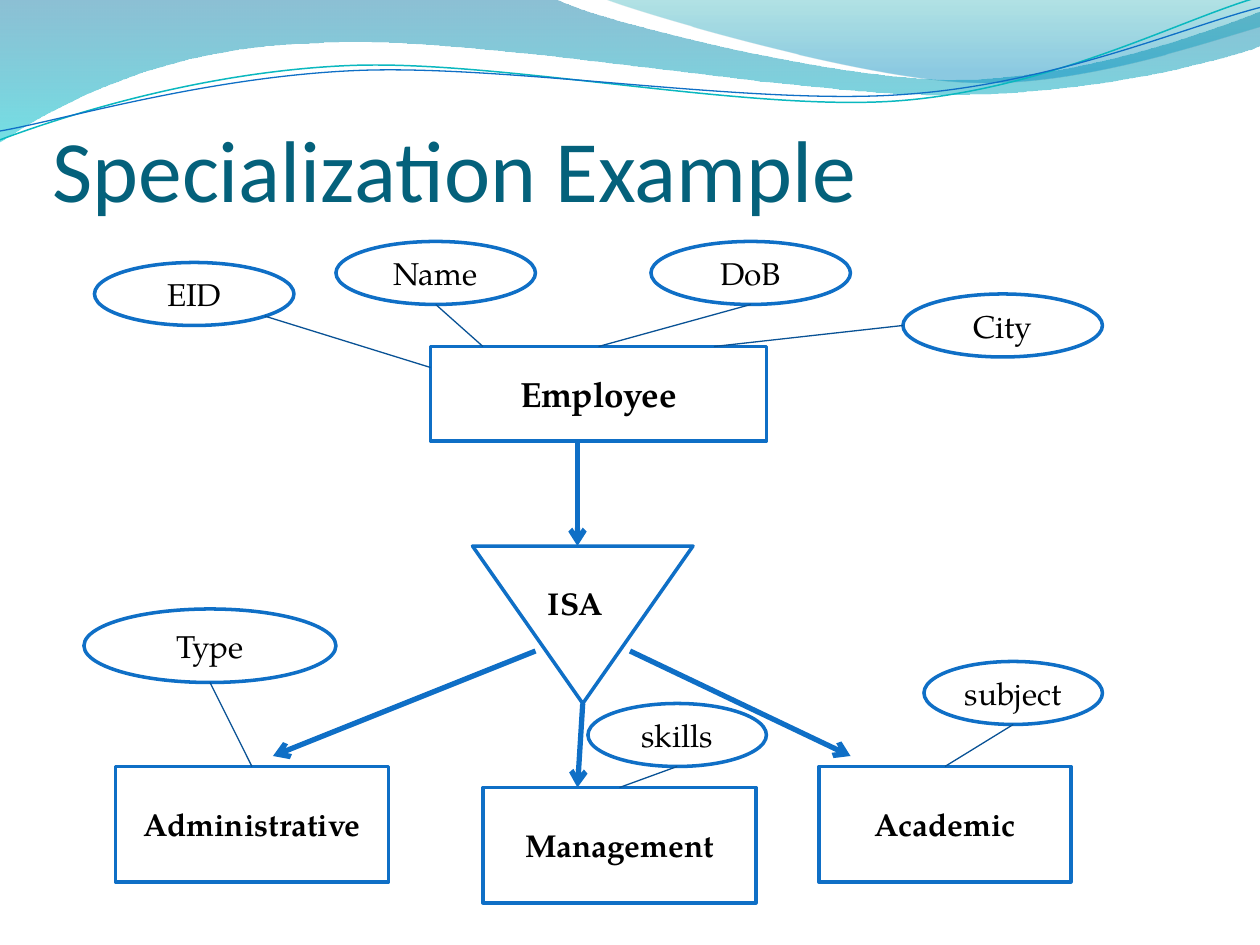
"""Build the specialization example slide, an ER diagram of employees."""
from math import cos, radians, sin

from lxml import etree
from pptx import Presentation
from pptx.dml.color import RGBColor
from pptx.enum.shapes import MSO_CONNECTOR as CONN, MSO_SHAPE as SHAPE
from pptx.enum.text import MSO_ANCHOR as ANCHOR, MSO_AUTO_SIZE as AUTO, PP_ALIGN as ALIGN
from pptx.oxml.ns import qn
from pptx.util import Inches, Pt

BLUE, THIN_BLUE = "0F6FC6", "095295"
BODY = {"name": "TeX Gyre Pagella", "size": Pt(18), "bold": False}
BOLD = {**BODY, "bold": True}
HEADING = {"name": "Calibri", "size": Pt(50)}
UNITS_PER_INCH = 12
WAVE_TILT = 2.7

ENTITIES = {
    "Employee": (41, 33, 32, 9),
    "Academic": (78, 73, 24, 11),
    "Administrative": (11, 73, 26, 11),
    "Management": (46, 75, 26, 11),
}
ATTRIBUTES = {
    "Type": (8, 58, 24, 7),
    "skills": (56, 67, 17, 6),
    "subject": (88, 63, 17, 6),
    "EID": (9, 25, 19, 6),
    "Name": (32, 23, 19, 6),
    "DoB": (62, 23, 19, 6),
    "City": (86, 28, 19, 6),
}
ARROWS = [
    ((51, 62), (26, 72)),
    ((60, 62), (81, 72)),
    ((55, 42), (55, 52)),
    ((55.5, 67), (55, 75)),
]
LINKS = [
    ((20, 65), (24, 73), "Administrative"),
    ((96.5, 69), (90, 73), "Academic"),
    ((64.5, 73), (59, 75), "Management"),
    ((71.5, 29), (57, 33), "Employee"),
    ((25.2, 30.1), (41, 35), None),
    ((41.5, 29), (46, 33), None),
    ((86, 31), (68, 33), None),
]
BANDS = [
    ([(0, 0), (4.4, -0.01),
      (4.76, 0.17, 6.64, 0.63, 7.58, 0.63), (8.53, 0.63, 9.58, 0.26, 10, 0.09),
      (10.01, 0.36),
      (9.83, 0.44, 8.7, 0.76, 7.46, 0.75), (6.22, 0.75, 3.82, 0.28, 2.57, 0.34),
      (1.29, 0.36, 0.46, 0.83, -0.01, 1.13), (0, 0)],
     [(0, "0074A1", 45), (1, "00C6CF", 55)]),
    ([(4.79, -0.01),
      (5.09, 0.11, 6.82, 0.62, 7.69, 0.65), (8.56, 0.69, 9.61, 0.32, 10, 0.21),
      (10, 0), (4.79, -0.01)],
     [(0, "00A1A9", 30), (0.8, "008BBF", 45)]),
]
WAVES = [
    ([(0, 1.11), (0.48, 0.93, 1.58, 0.57, 2.77, 0.52),
      (3.95, 0.47, 5.93, 0.89, 7.13, 0.8), (8.33, 0.71, 9.38, 0.15, 9.98, -0.02)],
     (4.99, 0.58), "0AB8BF", 0.85),
    ([(0, 1.04), (0.47, 0.96, 1.64, 0.61, 2.83, 0.56),
      (4.03, 0.51, 5.97, 0.84, 7.17, 0.75), (8.36, 0.67, 9.41, 0.21, 10, 0.06)],
     (5, 0.59), BLUE, 0.75),
]


def rgb(value):
    """Return the colour for a hex string."""
    return RGBColor.from_string(value)


def grid(values):
    """Turn grid units into lengths."""
    return [Inches(value / UNITS_PER_INCH) for value in values]


def set_attrs(obj, values):
    """Set every attribute named in a dict of format values."""
    for name, value in values.items():
        setattr(obj, name, value)


def set_line(sp, color, width):
    """Give a shape or connector a solid line."""
    sp.line.color.rgb = rgb(color)
    sp.line.width = Pt(width)


def write(sp, text, font, color="000000", align=ALIGN.CENTER, **frame):
    """Write one formatted paragraph into a shape."""
    tf = sp.text_frame
    set_attrs(tf, {"word_wrap": True, "vertical_anchor": ANCHOR.MIDDLE, **frame})
    p = tf.paragraphs[0]
    p.alignment = align
    r = p.add_run()
    r.text = text
    set_attrs(r.font, font)
    r.font.color.rgb = rgb(color)


def add_node(shapes, kind, box):
    """Add a white shape with a blue outline."""
    sp = shapes.add_shape(kind, *grid(box))
    sp.shadow.inherit = False
    sp.fill.solid()
    sp.fill.fore_color.rgb = rgb("FFFFFF")
    set_line(sp, BLUE, 2)
    return sp


def add_label(shapes, text, box, font, **style):
    """Add a text box."""
    write(shapes.add_textbox(*grid(box)), text, font, align=ALIGN.LEFT, **style)


def add_line(shapes, begin, end, color, width):
    """Add a straight connector without a shadow."""
    sp = shapes.add_connector(CONN.STRAIGHT, *grid(begin + end))
    set_line(sp, color, width)
    etree.SubElement(sp._element.spPr, qn("a:effectLst"))
    return sp


def add_arrow(shapes, begin, end):
    """Add a thick line with an arrowhead at its end."""
    sp = add_line(shapes, begin, end, BLUE, 3)
    etree.SubElement(sp.line._get_or_add_ln(), qn("a:tailEnd"), type="arrow")


def turn(step, center, degrees):
    """Rotate the points of one step about a center."""
    c, s = cos(radians(degrees)), sin(radians(degrees))
    turned = []
    for x, y in zip(step[::2], step[1::2]):
        dx, dy = x - center[0], y - center[1]
        turned += [center[0] + dx * c - dy * s, center[1] + dx * s + dy * c]
    return tuple(turned)


def add_outline(shapes, steps, close):
    """Add a freeform whose six-number steps are cubic curves."""
    start, *rest = [[Inches(value) for value in step] for step in steps]
    builder = shapes.build_freeform(*start)
    for step in rest:
        builder.add_line_segments(list(zip(step[::2], step[1::2])), close=False)
    if close:
        builder.add_line_segments([], close=True)
    sp = builder.convert_to_shape()
    sp.shadow.inherit = False
    segments = iter(list(sp._element.iter(qn("a:lnTo"))))
    for step in rest:
        first, *others = [next(segments) for _ in step[::2]]
        if others:
            curve = etree.Element(qn("a:cubicBezTo"))
            first.addprevious(curve)
            for segment in (first, *others):
                curve.append(segment[0])
                segment.getparent().remove(segment)
    return sp


def add_band(shapes, steps, stops):
    """Add a closed band with a translucent downward gradient."""
    sp = add_outline(shapes, steps, True)
    sp.line.fill.background()
    sp.fill.gradient()
    sp.fill.gradient_angle = 270
    for stop, (position, color, _) in zip(sp.fill.gradient_stops, stops):
        stop.position = position
        stop.color.rgb = rgb(color)
    for node, (_, _, opacity) in zip(sp._element.spPr.iter(qn("a:srgbClr")), stops):
        etree.SubElement(node, qn("a:alpha"), val=str(opacity * 1000))


def add_wave(shapes, steps, center, color, width):
    """Add an open curved line, tilted about its center."""
    sp = add_outline(shapes, [turn(step, center, WAVE_TILT) for step in steps], False)
    sp.rotation = -WAVE_TILT
    sp.fill.background()
    set_line(sp, color, width)


def main():
    """Build and save the slide."""
    prs = Presentation()
    prs.slide_width, prs.slide_height = Inches(10), Inches(7.5)
    shapes = prs.slides.add_slide(prs.slide_layouts[6]).shapes
    for band in BANDS:
        add_band(shapes, *band)
    for wave in WAVES:
        add_wave(shapes, *wave)
    add_label(shapes, "Specialization Example", (5, 6, 108, 15), HEADING,
              color="04617B", vertical_anchor=ANCHOR.BOTTOM,
              margin_left=0, margin_right=0, margin_bottom=0)
    entities = {}
    for name, box in ENTITIES.items():
        entities[name] = add_node(shapes, SHAPE.RECTANGLE, box)
        write(entities[name], name, {**BOLD, "size": Pt(20 if name == "Employee" else 18)})
    add_node(shapes, SHAPE.ISOSCELES_TRIANGLE, (45, 52, 21, 15)).rotation = 180
    add_label(shapes, "ISA", (51, 55, 10, 5), BOLD,
              vertical_anchor=ANCHOR.TOP, auto_size=AUTO.SHAPE_TO_FIT_TEXT)
    for begin, end in ARROWS:
        add_arrow(shapes, begin, end)
    for name, box in ATTRIBUTES.items():
        write(add_node(shapes, SHAPE.OVAL, box), name, BODY)
    for begin, end, entity in LINKS:
        sp = add_line(shapes, begin, end, THIN_BLUE, 0.75)
        if entity:
            sp.end_connect(entities[entity], 0)
    prs.save("out.pptx")


if __name__ == "__main__":
    main()
